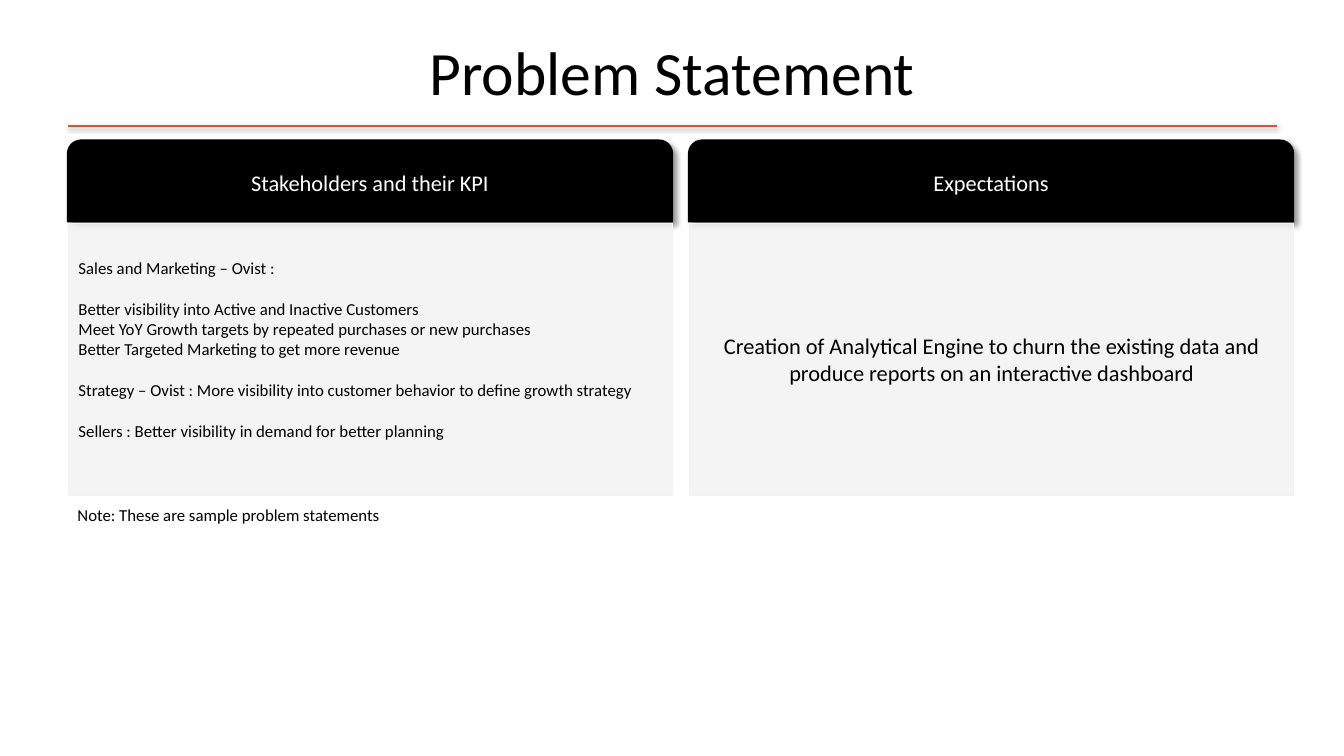
"""Builds the problem statement slide with two headed panels."""
from lxml.etree import SubElement
from pptx import Presentation
from pptx.dml.color import RGBColor
from pptx.enum.shapes import MSO_CONNECTOR, MSO_SHAPE
from pptx.enum.text import MSO_ANCHOR, MSO_AUTO_SIZE, PP_ALIGN
from pptx.oxml.ns import qn
from pptx.util import Inches, Pt

COLORS = {"ink": "000000", "paper": "FFFFFF", "rule": "D5552D", "panel": "F2F2F2"}
FONT = "Calibri"
PANEL_LEFT = 0.67
PANEL_PITCH = 6.16
PANELS = [
    {
        "heading": "Stakeholders and their KPI",
        "groups": [
            ["Sales and Marketing – Ovist :"],
            [
                "Better visibility into Active and Inactive Customers",
                "Meet YoY Growth targets by repeated purchases or new purchases",
                "Better Targeted Marketing to get more revenue",
            ],
            ["Strategy – Ovist : More visibility into customer behavior to define growth strategy"],
            ["Sellers : Better visibility in demand for better planning"],
        ],
        "size": 12,
        "align": PP_ALIGN.LEFT,
        "bottom": 0.25,
    },
    {
        "heading": "Expectations",
        "groups": [[
            "Creation of Analytical Engine to churn the existing data and "
            "produce reports on an interactive dashboard"
        ]],
        "size": 16,
        "align": PP_ALIGN.CENTER,
        "bottom": 0.05,
    },
]


class SlideBuilder:
    """Holds the style and the current slide."""

    def __init__(self, slide):
        """Keep the slide that receives the elements."""
        self.slide = slide

    def color(self, name):
        """Return a named colour."""
        return RGBColor.from_string(COLORS[name])

    def set_text(self, shape, groups, size, color="ink", align=PP_ALIGN.LEFT):
        """Set groups of lines with a line of space between groups."""
        frame = shape.text_frame
        frame.text = "\n".join(line for group in groups for line in group)
        starts = [sum(map(len, groups[:index])) for index in range(1, len(groups))]
        for index, paragraph in enumerate(frame.paragraphs):
            paragraph.alignment = align
            if index in starts:
                paragraph.space_before = Pt(size * 1.22)
            for run in paragraph.runs:
                run.font.name = FONT
                run.font.size = Pt(size)
                run.font.color.rgb = self.color(color)

    def shadow(self, shape, opacity, blur, distance, angle):
        """Give a shape an outer shadow."""
        effects = SubElement(shape.element.spPr, qn("a:effectLst"))
        outer = SubElement(
            effects, qn("a:outerShdw"), blurRad=str(Pt(blur)), dist=str(Pt(distance)),
            dir=str(angle * 60000), algn="tl", rotWithShape="0",
        )
        tint = SubElement(outer, qn("a:srgbClr"), val=COLORS["ink"])
        SubElement(tint, qn("a:alpha"), val=str(opacity * 1000))

    def title(self, text):
        """Place the slide title."""
        title = self.slide.shapes.title
        title.left, title.top = Inches(0.67), Inches(0.08)
        title.width, title.height = Inches(12), Inches(1.25)
        frame = title.text_frame
        frame.auto_size = MSO_AUTO_SIZE.NONE
        frame.vertical_anchor = MSO_ANCHOR.MIDDLE
        self.set_text(title, [[text]], 44, align=PP_ALIGN.CENTER)

    def rule(self, left, right, top):
        """Draw the line under the title."""
        rule = self.slide.shapes.add_connector(
            MSO_CONNECTOR.STRAIGHT, Inches(left), Inches(top), Inches(right), Inches(top)
        )
        rule.line.color.rgb = self.color("rule")
        rule.line.width = Pt(2)
        self.shadow(rule, 38, 3.1, 1.6, 90)

    def box(self, kind, left, top, width, height, color):
        """Draw a filled box with an outline of the same colour."""
        box = self.slide.shapes.add_shape(
            kind, Inches(left), Inches(top), Inches(width), Inches(height)
        )
        box.fill.solid()
        box.fill.fore_color.rgb = self.color(color)
        box.line.color.rgb = self.color(color)
        box.line.width = Pt(1)
        box.text_frame.word_wrap = True
        box.text_frame.vertical_anchor = MSO_ANCHOR.MIDDLE
        return box

    def panel(self, left, heading, groups, size, align, bottom):
        """Draw a heading with its body below."""
        header = self.box(MSO_SHAPE.ROUND_2_SAME_RECTANGLE, left, 1.39, 6, 0.81, "ink")
        self.shadow(header, 40, 4, 3, 45)
        self.set_text(header, [[heading]], 16, "paper", PP_ALIGN.CENTER)
        body = self.box(MSO_SHAPE.RECTANGLE, left + 0.01, 2.22, 5.99, 2.69, "panel")
        body.shadow.inherit = False
        fill_color = body.element.spPr.find(qn("a:solidFill")).find(qn("a:srgbClr"))
        SubElement(fill_color, qn("a:alpha"), val="83000")
        body.text_frame.margin_bottom = Inches(bottom)
        self.set_text(body, groups, size, align=align)

    def note(self, text, left, top, width, height):
        """Place a single line of text."""
        note = self.slide.shapes.add_textbox(
            Inches(left), Inches(top), Inches(width), Inches(height)
        )
        note.text_frame.word_wrap = False
        note.text_frame.auto_size = MSO_AUTO_SIZE.SHAPE_TO_FIT_TEXT
        self.set_text(note, [[text]], 12)


def main():
    """Build and save the presentation."""
    presentation = Presentation()
    presentation.slide_width = Inches(13.33)
    presentation.slide_height = Inches(7.5)
    builder = SlideBuilder(presentation.slides.add_slide(presentation.slide_layouts[5]))
    builder.title("Problem Statement")
    builder.rule(0.67, 12.67, 1.25)
    for index, panel in enumerate(PANELS):
        builder.panel(PANEL_LEFT + index * PANEL_PITCH, **panel)
    builder.note("Note: These are sample problem statements", 0.67, 4.96, 3.24, 0.3)
    presentation.save("out.pptx")


if __name__ == "__main__":
    main()
